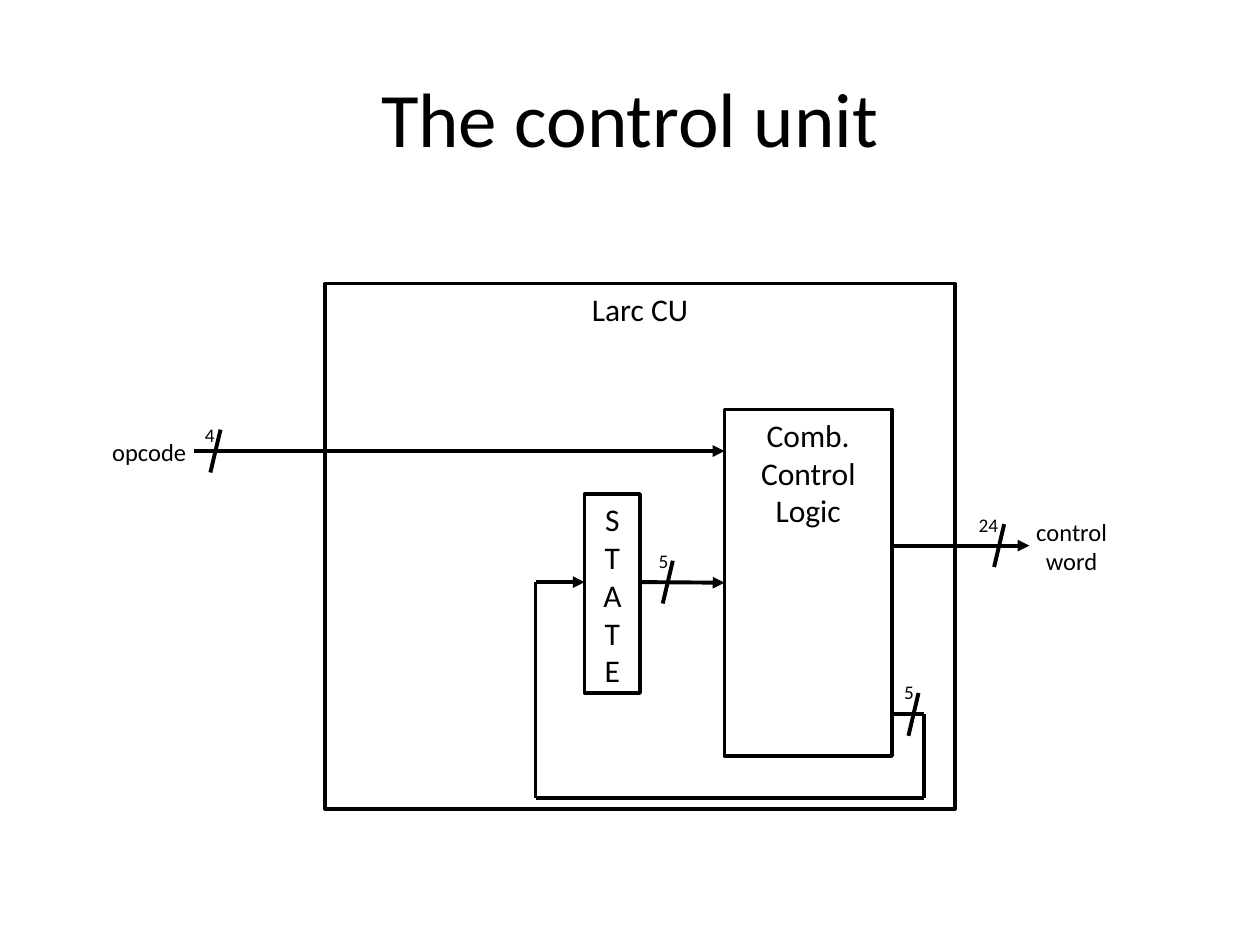
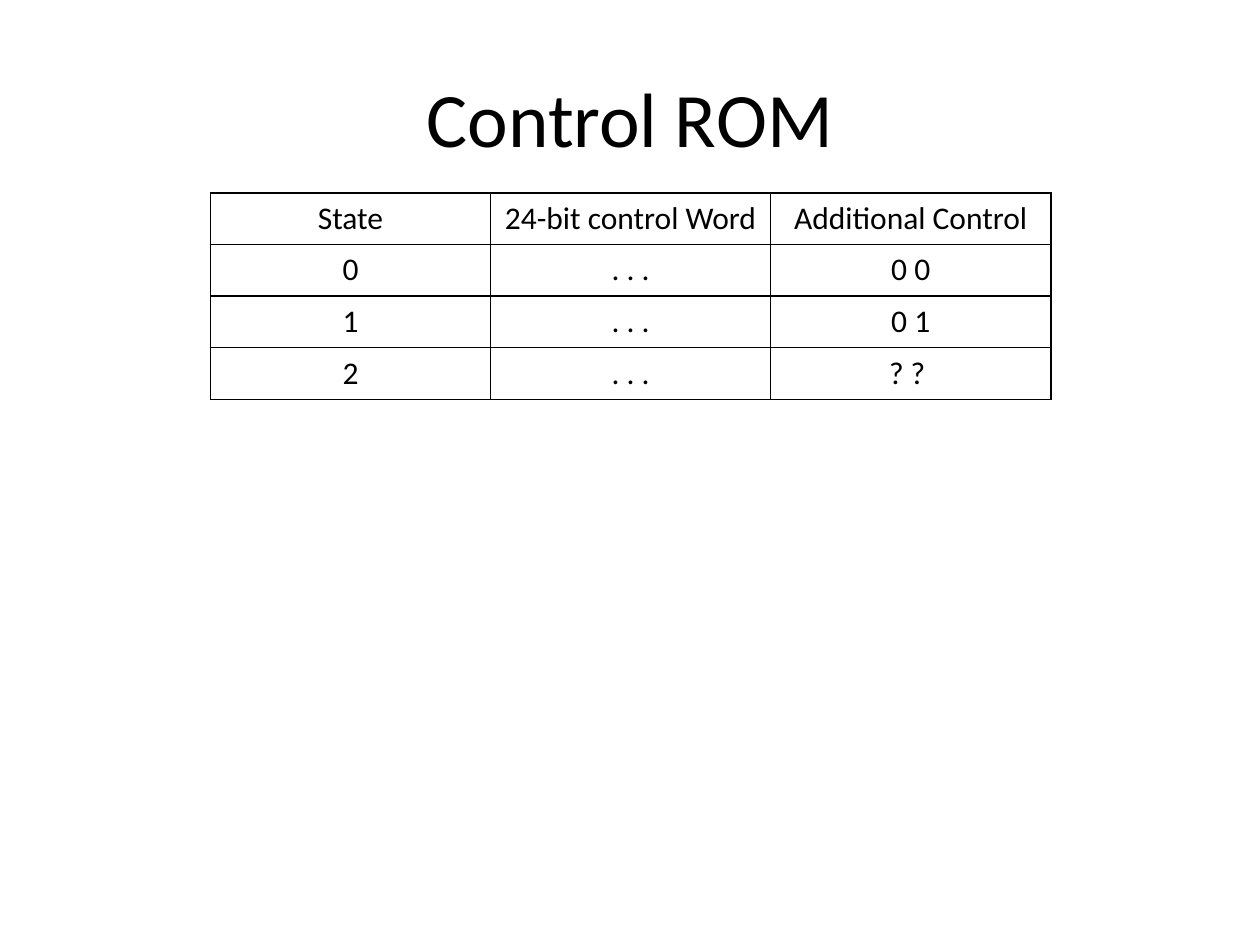
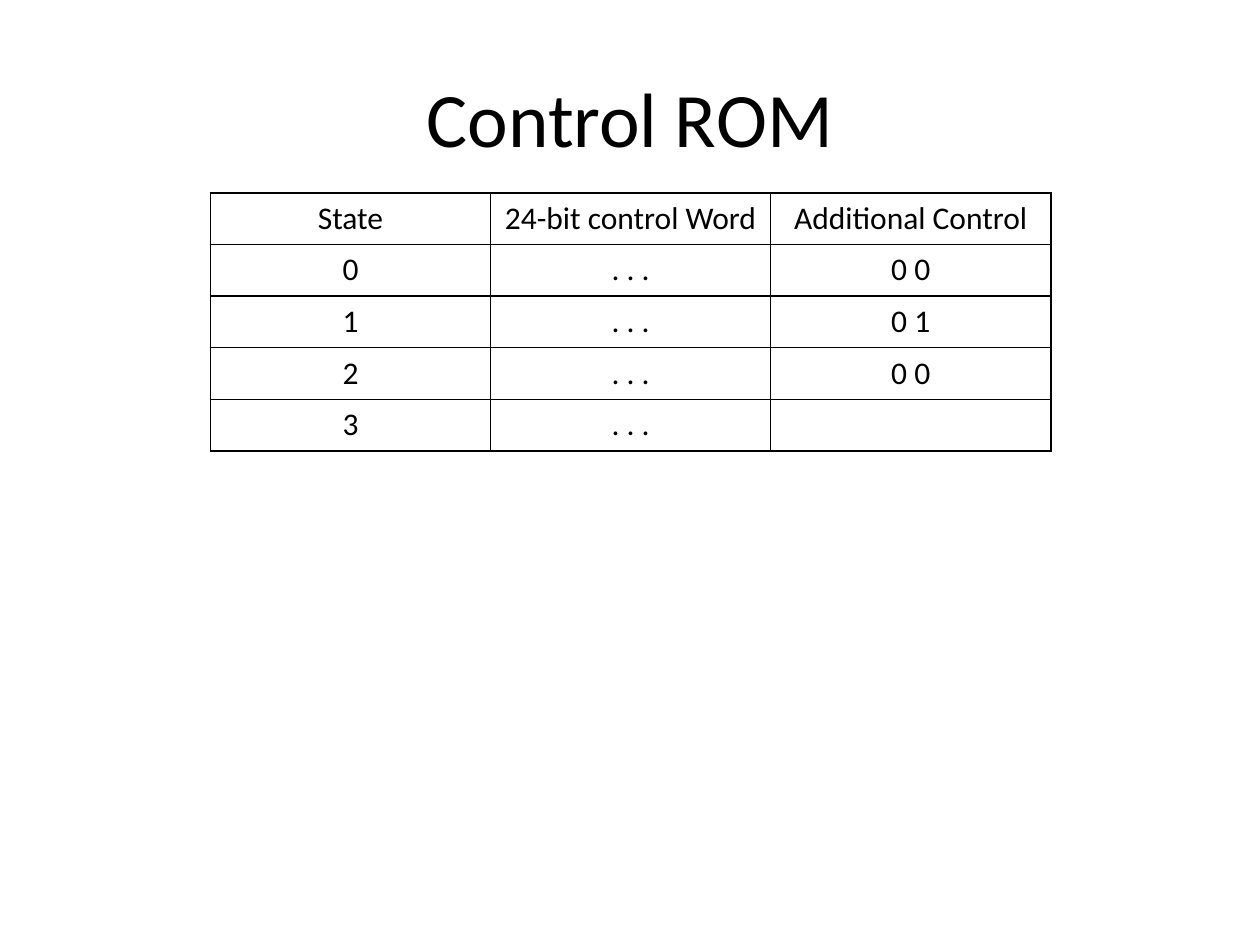
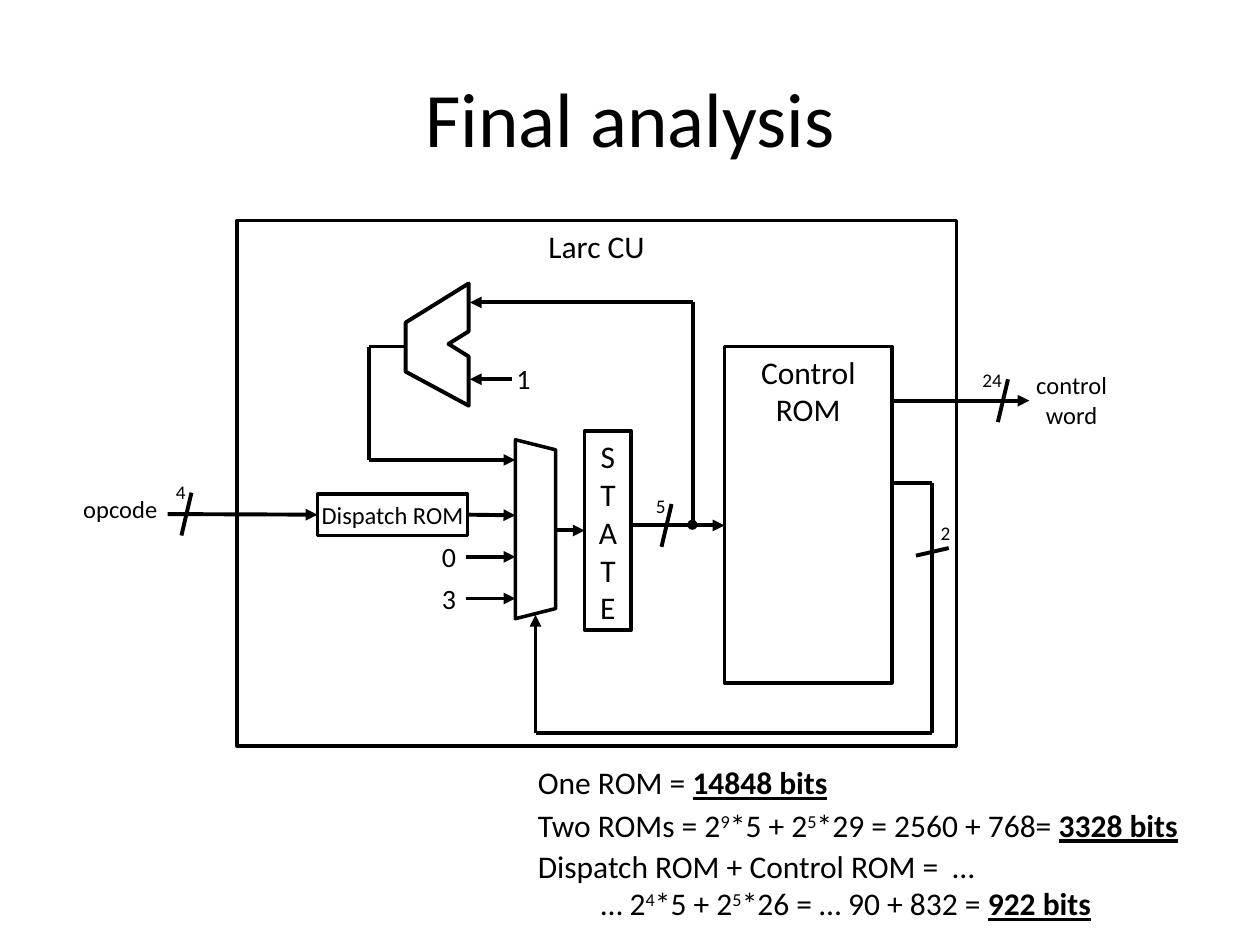
from dataclasses import dataclass
from itertools import pairwise
from typing import NamedTuple

import pptx
import pptx.dml.color
import pptx.enum.shapes
import pptx.enum.text
import pptx.oxml
import pptx.oxml.ns
import pptx.util
from pptx.util import Inches

BLACK = pptx.dml.color.RGBColor(0, 0, 0)
WHITE = pptx.dml.color.RGBColor(255, 255, 255)
FONT = "Calibri"
BOX_LINE = 2
WIRE_LINE = 2.25
TITLE_ONLY = 5
LEFT_SIDE, RIGHT_SIDE = 1, 3

Kind = pptx.enum.shapes.MSO_SHAPE
Align = pptx.enum.text.PP_ALIGN
Anchor = pptx.enum.text.MSO_ANCHOR
Point = tuple[float, float]


@dataclass
class Box:
    text: str
    left: float
    top: float
    width: float
    height: float
    size: float = 18
    anchor: Anchor = Anchor.TOP
    inset: bool = True


@dataclass
class Label:
    text: str
    left: float
    top: float
    width: float
    height: float
    size: float = 14
    align: Align = Align.CENTER
    fitted: bool = True


@dataclass
class Wire:
    """A chain of straight lines; the arrowhead sits on its last point."""
    points: list[Point]
    arrow: bool = True
    start_box: str = ""
    end_box: str = ""


@dataclass
class BusMark:
    """A slash across a wire at (x, y), with the bus width beside it."""
    bits: str
    x: float
    y: float
    label_left: float
    label_top: float
    label_width: float = 0.25
    dx: float = 0.04
    dy: float = 0.17


class Span(NamedTuple):
    text: str
    raised: bool = False
    result: bool = False


@dataclass
class Note:
    top: float
    width: float
    height: float
    lines: list[list[Span]]


def style_font(font, size: float) -> None:
    font.name = FONT
    font.size = pptx.util.Pt(size)
    font.color.rgb = BLACK


def style_text(tf, size: float, align: Align) -> None:
    for p in tf.paragraphs:
        p.alignment = align
        for r in p.runs:
            style_font(r.font, size)


def clear_insets(tf) -> None:
    tf.margin_left = tf.margin_right = tf.margin_top = tf.margin_bottom = 0


def style_line(line, width: float) -> None:
    line.color.rgb = BLACK
    line.width = pptx.util.Pt(width)


def add_titled_slide(prs, title: str):
    s = prs.slides.add_slide(prs.slide_layouts[TITLE_ONLY])
    sp = s.shapes.title
    sp.left, sp.top, sp.width, sp.height = map(Inches, (0.5, 0.3, 9, 1.25))
    tf = sp.text_frame
    tf.text = title
    tf.vertical_anchor = Anchor.MIDDLE
    style_text(tf, 44, Align.CENTER)
    return s


def add_outline(s, kind: Kind, left: float, top: float, width: float,
                height: float, line: float = BOX_LINE):
    sp = s.shapes.add_shape(kind, *map(Inches, (left, top, width, height)))
    sp.shadow.inherit = False
    sp.fill.background()
    style_line(sp.line, line)
    return sp


def add_box(s, box: Box):
    sp = add_outline(s, Kind.RECTANGLE, box.left, box.top, box.width, box.height)
    tf = sp.text_frame
    tf.text = box.text
    tf.word_wrap = True
    tf.vertical_anchor = box.anchor
    if not box.inset:
        clear_insets(tf)
    style_text(tf, box.size, Align.CENTER)
    return sp


def add_label(s, label: Label) -> None:
    sp = s.shapes.add_textbox(
        *map(Inches, (label.left, label.top, label.width, label.height)))
    tf = sp.text_frame
    tf.text = label.text
    tf.word_wrap = True
    if label.fitted:
        clear_insets(tf)
        tf.auto_size = pptx.enum.text.MSO_AUTO_SIZE.SHAPE_TO_FIT_TEXT
    else:
        tf.vertical_anchor = Anchor.MIDDLE
    style_text(tf, label.size, label.align)


def add_line(s, start: Point, end: Point, arrow: bool = False):
    c = s.shapes.add_connector(pptx.enum.shapes.MSO_CONNECTOR.STRAIGHT,
                               *map(Inches, (*start, *end)))
    style_line(c.line, WIRE_LINE)
    sp_pr = c._element.spPr
    if arrow:
        head = pptx.oxml.parse_xml(
            f'<a:tailEnd {pptx.oxml.ns.nsdecls("a")} type="triangle"/>')
        c.line._get_or_add_ln().append(head)
    sp_pr.append(pptx.oxml.parse_xml(
        f'<a:effectLst {pptx.oxml.ns.nsdecls("a")}/>'))
    return c


def add_wire(s, wire: Wire, boxes: dict) -> None:
    segments = list(pairwise(wire.points))
    lines = [add_line(s, a, b, wire.arrow and i == len(segments))
             for i, (a, b) in enumerate(segments, 1)]
    if wire.start_box:
        lines[0].begin_connect(boxes[wire.start_box], RIGHT_SIDE)
    if wire.end_box:
        lines[-1].end_connect(boxes[wire.end_box], LEFT_SIDE)


def add_bus_mark(s, mark: BusMark) -> None:
    add_line(s, (mark.x - mark.dx, mark.y + mark.dy),
             (mark.x + mark.dx, mark.y - mark.dy))
    add_label(s, Label(mark.bits, mark.label_left, mark.label_top,
                       mark.label_width, 0.19, 11))


def add_diagram(s, boxes: dict[str, Box], wires: list[Wire],
                marks: list[BusMark], labels: list[Label]) -> None:
    shapes = {name: add_box(s, box) for name, box in boxes.items()}
    for wire in wires:
        add_wire(s, wire, shapes)
    for mark in marks:
        add_bus_mark(s, mark)
    for label in labels:
        add_label(s, label)


def add_cell_borders(cell) -> None:
    tc_pr = cell._tc.get_or_add_tcPr()
    for i, side in enumerate(("lnL", "lnR", "lnT", "lnB")):
        tc_pr.insert(i, pptx.oxml.parse_xml(
            f'<a:{side} {pptx.oxml.ns.nsdecls("a")} w="12700"><a:solidFill>'
            f'<a:srgbClr val="{BLACK}"/></a:solidFill></a:{side}>'))


def add_rom_table(s, rows: list[tuple[str, str, str]]) -> None:
    row_height = Inches(0.41)
    table = s.shapes.add_table(len(rows), 3, Inches(1.67), Inches(1.53),
                               Inches(6.67), row_height * len(rows)).table
    table.first_row = table.horz_banding = False
    for row, texts in zip(table.rows, rows):
        row.height = row_height
        for cell, text in zip(row.cells, texts):
            cell.text = text
            cell.fill.background()
            add_cell_borders(cell)
            style_text(cell.text_frame, 18, Align.CENTER)


def add_note(s, note: Note) -> None:
    sp = s.shapes.add_textbox(
        *map(Inches, (4.17, note.top, note.width, note.height)))
    tf = sp.text_frame
    tf.word_wrap = True
    tf.auto_size = pptx.enum.text.MSO_AUTO_SIZE.SHAPE_TO_FIT_TEXT
    for i, line in enumerate(note.lines):
        p = tf.add_paragraph() if i else tf.paragraphs[0]
        for span in line:
            r = p.add_run()
            r.text = span.text
            style_font(r.font, 18)
            if span.raised:
                r._r.get_or_add_rPr().set("baseline", "30000")
            if span.result:
                r.font.bold = r.font.underline = True


def add_control_unit_slide(prs) -> None:
    s = add_titled_slide(prs, "The control unit")
    boxes = {
        "logic": Box("Comb. Control Logic", 5.75, 3.25, 1.33, 2.75),
        "state": Box("S\nT\nA\nT\nE", 4.64, 3.92, 0.44, 1.58),
        "unit": Box("Larc CU", 2.58, 2.25, 5, 4.17),
    }
    wires = [
        Wire([(1.54, 3.58), (5.75, 3.58)]),
        Wire([(5.08, 4.62), (5.75, 4.62)], end_box="logic"),
        Wire([(7.08, 4.33), (8.17, 4.33)]),
        Wire([(7.08, 5.67), (7.33, 5.67), (7.33, 6.33), (4.25, 6.33),
              (4.25, 4.62), (4.64, 4.62)]),
    ]
    marks = [
        BusMark("4", 1.71, 3.58, 1.54, 3.36),
        BusMark("24", 7.93, 4.33, 7.72, 4.07),
        BusMark("5", 7.25, 5.67, 7.14, 5.4, 0.15),
        BusMark("5", 5.3, 4.62, 5.19, 4.36, 0.15),
    ]
    labels = [
        Label("opcode", 0.81, 3.47, 0.75, 0.24),
        Label("control word", 8.13, 4.1, 0.75, 0.47),
    ]
    add_diagram(s, boxes, wires, marks, labels)


def add_rom_slides(prs) -> None:
    known = [
        ("State", "24-bit control Word", "Additional Control"),
        ("0", ". . .", "0 0"),
        ("1", ". . .", "0 1"),
    ]
    question = [("2", ". . .", "? ? ")]
    answer = [("2", ". . .", "0 0"), ("3", ". . .", "")]
    for rest in (question, answer):
        add_rom_table(add_titled_slide(prs, "Control ROM"), known + rest)


def add_multiplexer(s) -> None:
    sp = add_outline(s, Kind.TRAPEZOID, 3.54, 4.04, 1.42, 0.32)
    sp.rotation = 90
    sp.fill.solid()
    sp.fill.fore_color.rgb = WHITE


def add_adder(s) -> None:
    corners = [(3.22, 2.56), (3.72, 2.25), (3.72, 2.63), (3.56, 2.73),
               (3.72, 2.83), (3.72, 3.22), (3.22, 2.95)]
    first, *others = [(Inches(x), Inches(y)) for x, y in corners]
    builder = s.shapes.build_freeform(*first)
    builder.add_line_segments(others, close=True)
    sp = builder.convert_to_shape()
    sp.shadow.inherit = False
    sp.fill.background()
    style_line(sp.line, WIRE_LINE)


def add_junction(s) -> None:
    sp = add_outline(s, Kind.OVAL, 5.46, 4.13, 0.07, 0.07, 0.75)
    sp.fill.solid()
    sp.fill.fore_color.rgb = BLACK


def add_analysis_slide(prs) -> None:
    s = add_titled_slide(prs, "Final analysis")
    boxes = {
        "unit": Box("Larc CU", 1.88, 1.75, 5.71, 4.17),
        "control": Box("Control ROM", 5.75, 2.75, 1.33, 2.67),
        "state": Box("S\nT\nA\nT\nE", 4.64, 3.42, 0.37, 1.58),
        "dispatch": Box("Dispatch ROM", 2.52, 3.92, 1.19, 0.33, 14,
                        Anchor.MIDDLE, inset=False),
    }
    wires = [
        Wire([(1.33, 4.08), (2.52, 4.08)], end_box="dispatch"),
        Wire([(3.71, 4.09), (4.09, 4.09)], start_box="dispatch"),
        Wire([(3.7, 4.42), (4.09, 4.42)]),
        Wire([(3.7, 4.75), (4.09, 4.75)]),
        Wire([(4.41, 4.21), (4.64, 4.21)], end_box="state"),
        Wire([(5, 4.17), (5.75, 4.17)]),
        Wire([(7.08, 3.18), (8.17, 3.18)]),
        Wire([(7.08, 3.83), (7.4, 3.83), (7.4, 5.82), (4.25, 5.82),
              (4.25, 4.88)]),
        Wire([(5.5, 4.18), (5.5, 2.4), (3.73, 2.4)]),
        Wire([(4.06, 3.01), (3.73, 3.01)]),
        Wire([(3.22, 2.75), (2.93, 2.75), (2.93, 3.65), (4.09, 3.65)]),
        Wire([(4.25, 5.92), (7.4, 5.92)], arrow=False),
    ]
    marks = [
        BusMark("4", 1.48, 4.08, 1.31, 3.81),
        BusMark("24", 7.96, 3.18, 7.75, 2.92),
        BusMark("5", 5.29, 4.17, 5.17, 3.92, 0.15),
        BusMark("2", 7.4, 4.38, 7.43, 4.14, 0.15, dx=0.13, dy=0.03),
    ]
    labels = [
        Label("opcode", 0.58, 3.92, 0.75, 0.24),
        Label("control word", 8.13, 2.94, 0.75, 0.47),
    ]
    labels += [Label(text, left, top, 0.27, 0.21, 16, Align.LEFT, fitted=False)
               for text, left, top in (("1", 4, 2.9), ("0", 3.41, 4.31),
                                       ("3", 3.41, 4.64))]
    add_multiplexer(s)
    add_adder(s)
    add_diagram(s, boxes, wires, marks, labels)
    add_junction(s)

    five = Span("5", raised=True)
    notes = [
        Note(6.01, 2.99, 0.4,
             [[Span("One ROM = "), Span("14848 bits", result=True)]]),
        Note(6.35, 5.58, 0.4,
             [[Span("Two ROMs = 2"), Span("9", raised=True), Span("*5 + 2"),
               five, Span("*29 = 2560 + 768= "),
               Span("3328 bits", result=True)]]),
        Note(6.67, 5.58, 0.71,
             [[Span("Dispatch ROM + Control ROM =  …")],
              [Span("\t… 2"), Span("4", raised=True), Span("*5 + 2"), five,
               Span("*26 = … 90 + 832 = "), Span("922 bits", result=True)]]),
    ]
    for note in notes:
        add_note(s, note)


def main() -> None:
    prs = pptx.Presentation()
    prs.slide_width, prs.slide_height = Inches(10), Inches(7.5)
    add_control_unit_slide(prs)
    add_rom_slides(prs)
    add_analysis_slide(prs)
    prs.save("out.pptx")


if __name__ == "__main__":
    main()
